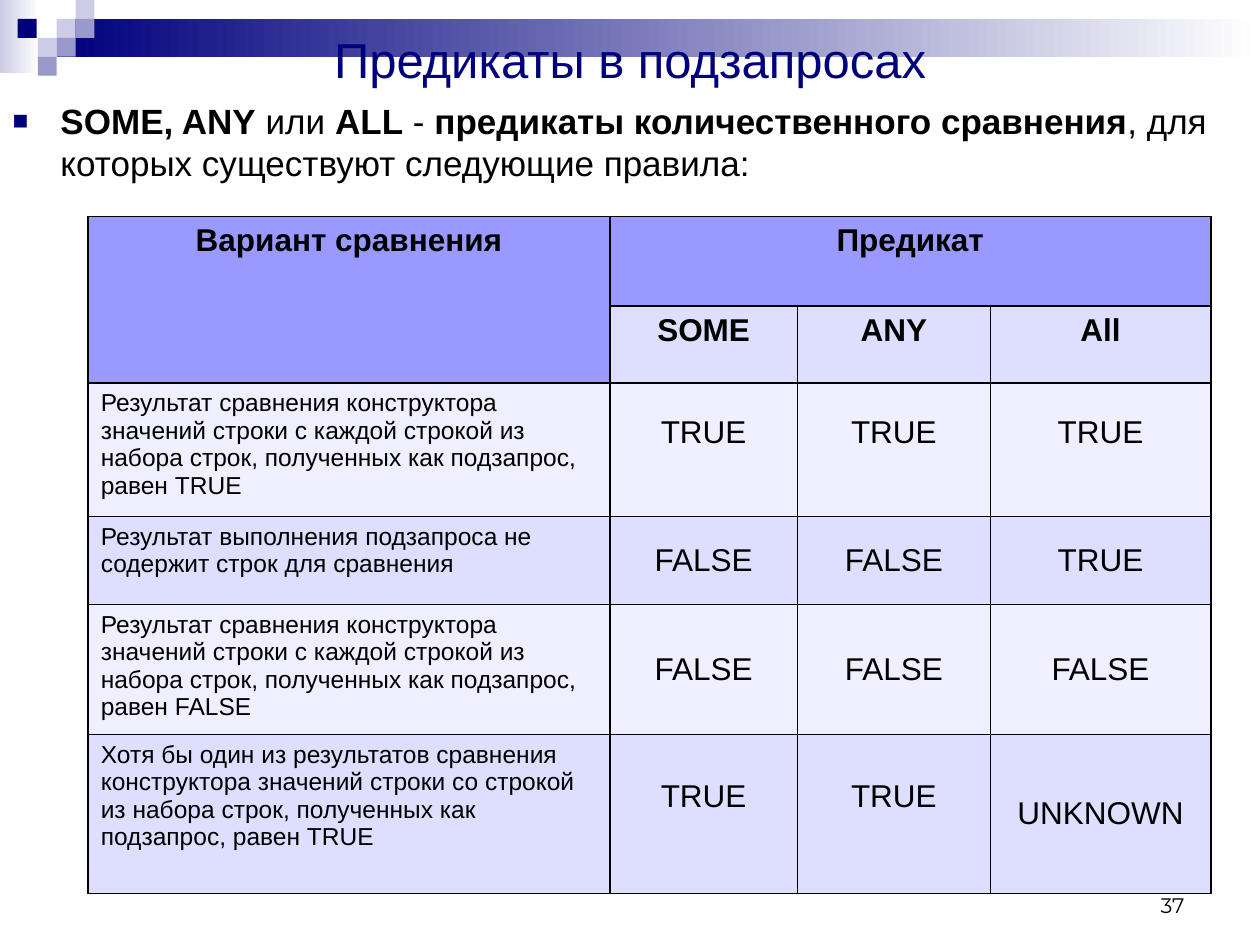
"""Build the slide on quantified comparison predicates in subqueries."""
from dataclasses import dataclass

from lxml.etree import SubElement
from pptx import Presentation
from pptx.dml.color import RGBColor
from pptx.enum.shapes import MSO_SHAPE
from pptx.enum.text import MSO_ANCHOR, MSO_AUTO_SIZE, PP_ALIGN
from pptx.oxml.ns import qn
from pptx.util import Inches, Pt

COLORS = {
    "navy": "00007D", "slate": "9999CC", "mist": "CCCCE6", "white": "FFFFFF",
    "black": "000000", "header": "9999FF", "dark": "DEDEFF", "light": "EFEFFF",
}
COLUMN_WIDTHS = [4.14, 1.49, 1.53, 1.75]
ROW_HEIGHTS = [0.71, 0.61, 1.06, 0.7, 1.03, 1.26]
ROW_COMPARISON = ("Результат сравнения конструктора значений строки с каждой строкой "
                  "из набора строк, полученных как подзапрос, равен ")


@dataclass
class Block:
    left: float
    top: float
    width: float
    height: float
    color: str
    fade: bool = False


@dataclass
class Rule:
    variant: str
    results: list[str]
    raised: int = 0


BLOCKS = [
    Block(0, 0, 0.31, 0.58, "mist", True),
    Block(0.45, 0.15, 9.55, 0.3, "navy", True),
] + [Block(left, top, 0.15, 0.15, color) for left, top, color in [
    (0.45, 0.15, "mist"), (0.6, 0, "mist"), (0.6, 0.15, "slate"),
    (0.3, 0.3, "mist"), (0.14, 0.15, "navy"), (0.45, 0.3, "slate"),
    (0.3, 0.45, "slate"),
]]

RULES = [
    Rule(ROW_COMPARISON + "TRUE", ["TRUE", "TRUE", "TRUE"], 3),
    Rule("Результат выполнения подзапроса не содержит строк для сравнения",
         ["FALSE", "FALSE", "TRUE"]),
    Rule(ROW_COMPARISON + "FALSE", ["FALSE", "FALSE", "FALSE"]),
    Rule("Хотя бы один из результатов сравнения конструктора значений строки со "
         "строкой из набора строк, полученных как подзапрос, равен TRUE",
         ["TRUE", "TRUE", "UNKNOWN"], 2),
]


def rgb(name: str) -> RGBColor:
    """Return a palette colour."""
    return RGBColor.from_string(COLORS[name])


def place(box, left: float, top: float, width: float, height: float) -> None:
    """Set the position and size of a box in inches."""
    bounds = {"left": left, "top": top, "width": width, "height": height}
    for name, value in bounds.items():
        setattr(box, name, Inches(value))


def add_span(paragraph, text: str, size: float, color: str = "black",
             bold: bool = False, face: str = "Arial") -> None:
    """Append a formatted run to a paragraph."""
    span = paragraph.add_run()
    span.text = text
    for name, value in {"size": Pt(size), "bold": bold, "name": face}.items():
        setattr(span.font, name, value)
    span.font.color.rgb = rgb(color)


def format_frame(frame, anchor: MSO_ANCHOR) -> None:
    """Give a text frame wrapping, a fixed size and an anchor."""
    settings = {"word_wrap": True, "auto_size": MSO_AUTO_SIZE.NONE,
                "vertical_anchor": anchor}
    for name, value in settings.items():
        setattr(frame, name, value)


def draw_block(page, block: Block) -> None:
    """Draw one rectangle of the header ornament."""
    shape = page.shapes.add_shape(
        MSO_SHAPE.RECTANGLE, Inches(block.left), Inches(block.top),
        Inches(block.width), Inches(block.height))
    shape.shadow.inherit = False
    shape.line.fill.background()
    if block.fade:
        shape.fill.gradient()
        shape.fill.gradient_angle = 0
        for stop, color in zip(shape.fill.gradient_stops, [block.color, "white"]):
            stop.color.rgb = rgb(color)
    else:
        shape.fill.solid()
        shape.fill.fore_color.rgb = rgb(block.color)


def fill_title(title) -> None:
    """Write the slide title."""
    place(title, 0.5, 0.23, 9, 0.47)
    format_frame(title.text_frame, MSO_ANCHOR.MIDDLE)
    paragraph = title.text_frame.paragraphs[0]
    paragraph.alignment = PP_ALIGN.CENTER
    add_span(paragraph, "Предикаты в подзапросах", 28, "navy")


def fill_body(body) -> None:
    """Write the bulleted introduction."""
    place(body, 0, 0.74, 9.88, 6.02)
    format_frame(body.text_frame, MSO_ANCHOR.TOP)
    paragraph = body.text_frame.paragraphs[0]
    paragraph.space_before = Pt(0)
    properties = paragraph._p.get_or_add_pPr()
    properties.set("marL", str(Inches(0.38)))
    properties.set("indent", str(-Inches(0.38)))
    bullet_color = SubElement(properties, qn("a:buClr"))
    SubElement(bullet_color, qn("a:srgbClr"), val=COLORS["navy"])
    SubElement(properties, qn("a:buSzPct"), val="75000")
    SubElement(properties, qn("a:buFont"), typeface="Arial")
    SubElement(properties, qn("a:buChar"), char="■")
    for text, bold in [
        ("SOME, ANY", True), (" или ", False), ("ALL", True), (" - ", False),
        ("предикаты количественного сравнения", True),
        (", для которых существуют следующие правила:", False),
    ]:
        add_span(paragraph, text, 20, bold=bold)


def style_cell(cell, color: str) -> None:
    """Give a cell black borders and a solid fill."""
    properties = cell._tc.get_or_add_tcPr()
    for side in ("lnL", "lnR", "lnT", "lnB"):
        border = SubElement(properties, qn(f"a:{side}"), w=str(Pt(1)))
        SubElement(SubElement(border, qn("a:solidFill")), qn("a:srgbClr"),
                   val=COLORS["black"])
    cell.fill.solid()
    cell.fill.fore_color.rgb = rgb(color)


def write_cell(cell, text: str, size: float = 18, bold: bool = False,
               align: PP_ALIGN = PP_ALIGN.CENTER) -> None:
    """Write one aligned paragraph into a cell."""
    paragraph = cell.text_frame.paragraphs[0]
    paragraph.alignment = align
    add_span(paragraph, text, size, bold=bold)


def draw_table(page) -> None:
    """Draw the table of comparison rules."""
    table = page.shapes.add_table(
        len(ROW_HEIGHTS), len(COLUMN_WIDTHS), Inches(0.7), Inches(1.72),
        Inches(sum(COLUMN_WIDTHS)), Inches(sum(ROW_HEIGHTS))).table
    for column, width in zip(table.columns, COLUMN_WIDTHS):
        column.width = Inches(width)
    for index, height in enumerate(ROW_HEIGHTS):
        table.rows[index].height = Inches(height)
        for position in range(len(COLUMN_WIDTHS)):
            is_header = index == 0 or (index == 1 and position == 0)
            stripe = "dark" if index % 2 else "light"
            style_cell(table.cell(index, position), "header" if is_header else stripe)
    table.cell(0, 0).merge(table.cell(1, 0))
    table.cell(0, 1).merge(table.cell(0, 3))
    write_cell(table.cell(0, 0), "Вариант сравнения", bold=True)
    write_cell(table.cell(0, 1), "Предикат", bold=True)
    for position, name in enumerate(["SOME", "ANY", "All"], start=1):
        write_cell(table.cell(1, position), name, bold=True)
    for index, rule in enumerate(RULES, start=2):
        write_cell(table.cell(index, 0), rule.variant, 14, align=PP_ALIGN.LEFT)
        for position, result in enumerate(rule.results, start=1):
            cell = table.cell(index, position)
            cell.vertical_anchor = MSO_ANCHOR.MIDDLE
            cell.margin_bottom = Inches(0.33 if position <= rule.raised else 0.05)
            write_cell(cell, result)


def draw_page_number(page) -> None:
    """Write the page number."""
    box = page.shapes.add_textbox(Inches(7.17), Inches(6.83), Inches(2.33), Inches(0.5))
    format_frame(box.text_frame, MSO_ANCHOR.BOTTOM)
    paragraph = box.text_frame.paragraphs[0]
    paragraph.alignment = PP_ALIGN.RIGHT
    add_span(paragraph, "37", 12, face="Montserrat")


def main() -> None:
    """Build and save the deck."""
    deck = Presentation()
    deck.slide_width, deck.slide_height = Inches(10), Inches(7.5)
    page = deck.slides.add_slide(deck.slide_layouts[1])
    title, body = page.shapes.title, page.placeholders[1]
    for block in BLOCKS:
        draw_block(page, block)
    for placeholder in (title, body):
        page.shapes._spTree.append(placeholder._element)
    fill_title(title)
    fill_body(body)
    draw_table(page)
    draw_page_number(page)
    deck.save("out.pptx")


if __name__ == "__main__":
    main()
